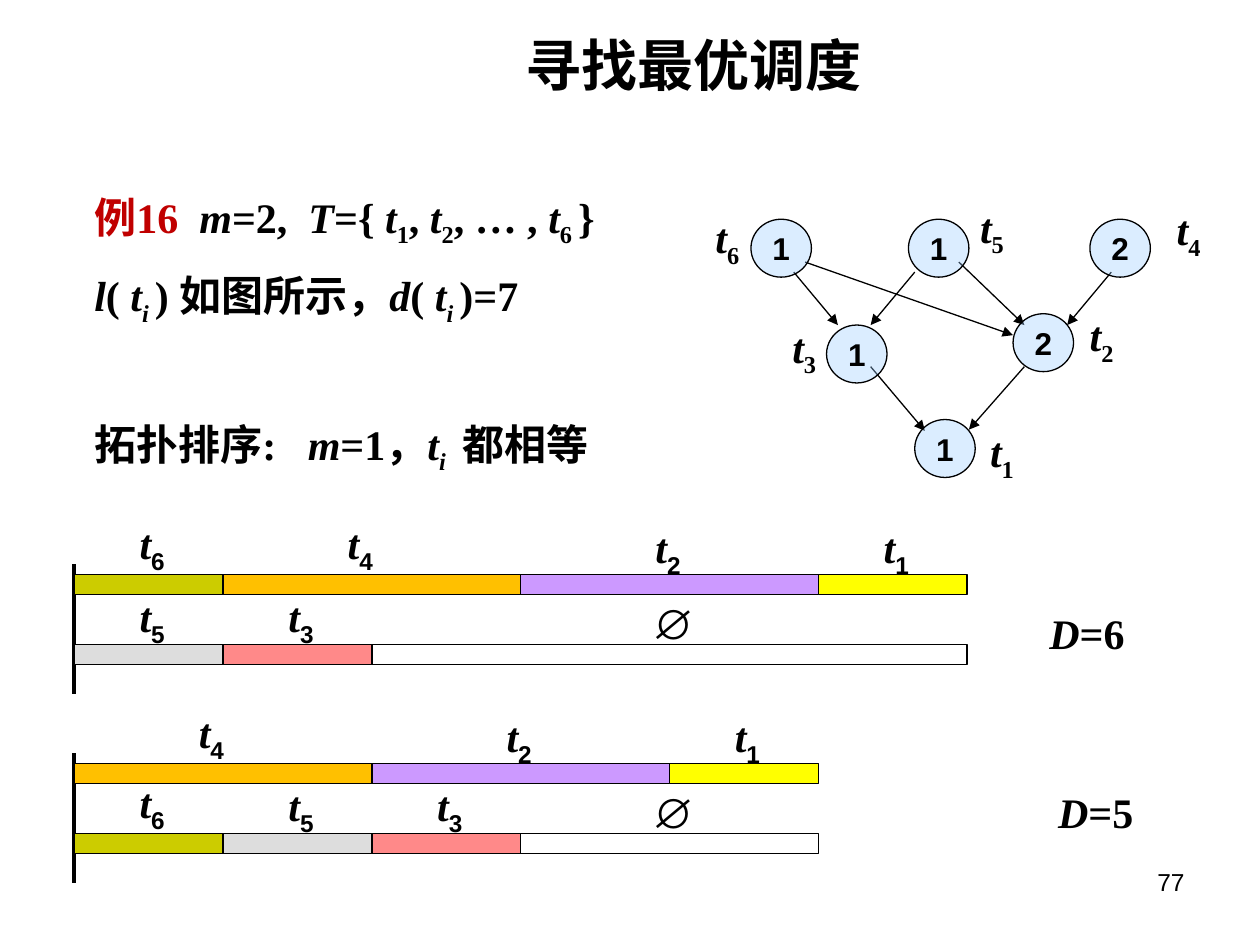
from lxml.etree import SubElement
from pptx import Presentation
from pptx.dml.color import RGBColor
from pptx.enum.shapes import MSO_CONNECTOR, MSO_SHAPE
from pptx.enum.text import MSO_ANCHOR, PP_ALIGN
from pptx.oxml.ns import qn
from pptx.util import Inches, Pt

SERIF, SANS = "Times New Roman", "Arial"
COLORS = {
    "ink": "000000", "red": "C00000", "node": "99CCFF", "idle": "FFFFFF",
    "6": "CCCC00", "5": "DDDDDD", "4": "FFC000",
    "3": "FF8989", "2": "CC99FF", "1": "FFFF00",
}

TITLE = "寻找最优调度"
PAGE = "77"
LINES = [
    (0, [("例16", "r"), (" ", "w"), ("m", "i"), ("=2,", ""), (" ", "w"),
         ("T", "i"), ("={ ", ""), ("t", "i"), ("1", "s"), (", ", ""),
         ("t", "i"), ("2", "s"), (", … , ", ""), ("t", "i"), ("6 ", "s"),
         ("}", "")]),
    (12, [("l", "i"), ("( ", ""), ("t", "i"), ("i ", "is"),
          (") 如图所示，", ""), ("d", "i"), ("( ", ""), ("t", "i"),
          ("i ", "is"), (")=7", "")]),
    (52, [("拓扑排序:", ""), (" ", "ww"), ("m", "i"), ("=1，", ""),
          ("t", "i"), ("i", "is"), (" ", "sw"), ("都相等", "")]),
]

NODES = [
    ("1", "1", 72.6, 33.3, 77.6, 33.3),
    ("3", "1", 65.6, 25.8, 61.9, 25.0),
    ("2", "2", 80.4, 24.9, 85.5, 24.1),
    ("6", "1", 59.6, 17.4, 55.8, 16.3),
    ("5", "1", 72.1, 17.4, 76.8, 15.5),
    ("4", "2", 86.5, 17.4, 92.4, 15.7),
]
EDGES = [
    (72.6, 21.6, 69.1, 25.8), (63.0, 21.6, 66.5, 25.8),
    (76.1, 20.8, 81.3, 25.8), (88.2, 21.6, 84.7, 25.8),
    (63.9, 20.8, 80.4, 26.6), (69.1, 29.1, 73.4, 34.2),
    (81.3, 29.1, 76.9, 34.1),
]
TASKS = {
    "6": (1, 4.2, 5.0), "5": (1, 4.2, 4.75), "4": (2, 8.9, 5.0),
    "3": (1, 4.2, 4.75), "2": (2, 9.7, 4.7), "1": (1, 4.2, 4.7),
}
PLANS = [
    (45.6, 6, ["6421", "53"], 82.3, 47.7),
    (60.6, 5, ["421", "653"], 83.0, 61.9),
]
LEFT, COL, ROW, BAR = 5.9, 11.81, 5.55, 1.6

deck = Presentation()
deck.slide_width, deck.slide_height = Inches(10), Inches(7.5)
SHARE = deck.slide_width / 100
slide = deck.slides.add_slide(deck.slide_layouts[5])
shapes = slide.shapes


def span(*parts):
    return [round(part * SHARE) for part in parts]


def tint(name):
    return RGBColor.from_string(COLORS[name])


def style(para, size, face=SERIF, bold=True):
    font = para.font
    font.size, font.name, font.bold = Pt(size), face, bold
    font.color.rgb = tint("ink")


def fill_runs(para, parts, low=None):
    style(para, 24)
    for text, marks in parts:
        run = para.add_run()
        run.text = text
        if "i" in marks:
            run.font.italic = True
        if "r" in marks:
            run.font.color.rgb = tint("red")
        if "w" in marks:
            run.font._element.set("spc", str(600 * marks.count("w")))
        if "s" in marks:
            run.font._element.set("baseline", "-25000")
            if low:
                run.font.name = low


def write(x, y, w, h, parts, low=None):
    box = shapes.add_textbox(*span(x, y, w, h))
    box.text_frame.word_wrap = False
    fill_runs(box.text_frame.paragraphs[0], parts, low)
    return box


def label(name, x, y, low=None):
    write(x, y, 4, 5.6, [("t", "i"), (name, "s")], low)


def draw(kind, x, y, w, h, color):
    shape = shapes.add_shape(kind, *span(x, y, w, h))
    shape.shadow.inherit = False
    shape.fill.solid()
    shape.fill.fore_color.rgb = tint(color)
    shape.line.color.rgb = tint("ink")
    shape.line.width = Pt(0.75)
    return shape


def rule(ends, width, arrow=False):
    line = shapes.add_connector(MSO_CONNECTOR.STRAIGHT, *span(*ends))
    line.line.color.rgb = tint("ink")
    line.line.width = Pt(width)
    if arrow:
        SubElement(line.line._get_or_add_ln(), qn("a:tailEnd"), type="triangle")
    SubElement(line._element.spPr, qn("a:effectLst"))


def draw_graph():
    for ends in EDGES:
        rule(ends, 0.75, True)
    for name, cost, x, y, tx, ty in NODES:
        node = draw(MSO_SHAPE.OVAL, x, y, 4.8, 4.6, "node")
        shade = node.fill._xPr.find(qn("a:solidFill"))[0]
        SubElement(shade, qn("a:alpha"), val="35000")
        frame = node.text_frame
        frame.word_wrap = False
        frame.vertical_anchor = MSO_ANCHOR.MIDDLE
        para = frame.paragraphs[0]
        para.text, para.alignment = cost, PP_ALIGN.CENTER
        style(para, 18, SANS)
        para.runs[0].font.color.rgb = tint("ink")
        label(name, tx, ty)


def draw_plan(top, end, rows, x, y):
    rule((LEFT, top - 0.8, LEFT, top + 9.5), 2.25)
    for row, names in enumerate(rows):
        level, start = top + row * ROW, 0
        for name in names:
            cols, dx, dy = TASKS[name]
            edge = LEFT + start * COL
            draw(MSO_SHAPE.RECTANGLE, edge, level, cols * COL, BAR, name)
            label(name, edge + dx, level - dy, SANS)
            start += cols
        if start < end:
            draw(MSO_SHAPE.RECTANGLE, LEFT + start * COL, level,
                 (end - start) * COL, BAR, "idle")
            mark = write(50.8, level - 4.25, 4.6, 5, [("∅", "")])
            mark.text_frame.paragraphs[0].font.name = SANS
    write(x, y, 9, 5, [("D", "i"), (f"={end}", "")])


head = shapes.title
head.left, head.top, head.width, head.height = span(21.6, 2.8, 66.9, 4.6)
frame = head.text_frame
frame.text = TITLE
frame.vertical_anchor = MSO_ANCHOR.MIDDLE
frame.margin_top = frame.margin_bottom = 0
frame.paragraphs[0].alignment = PP_ALIGN.CENTER
style(frame.paragraphs[0], 32)

page = shapes.add_textbox(*span(71.7, 68.3, 23.3, 5.2)).text_frame
page.word_wrap = True
page.text = PAGE
page.paragraphs[0].alignment = PP_ALIGN.RIGHT
style(page.paragraphs[0], 14, SANS, False)

draw_graph()
for plan in PLANS:
    draw_plan(*plan)

body = shapes.add_textbox(*span(6.5, 14.7, 44, 39.7)).text_frame
body.word_wrap = False
for index, (gap, parts) in enumerate(LINES):
    para = body.add_paragraph() if index else body.paragraphs[0]
    if gap:
        para.space_before = Pt(gap)
    fill_runs(para, parts)

deck.save("out.pptx")
